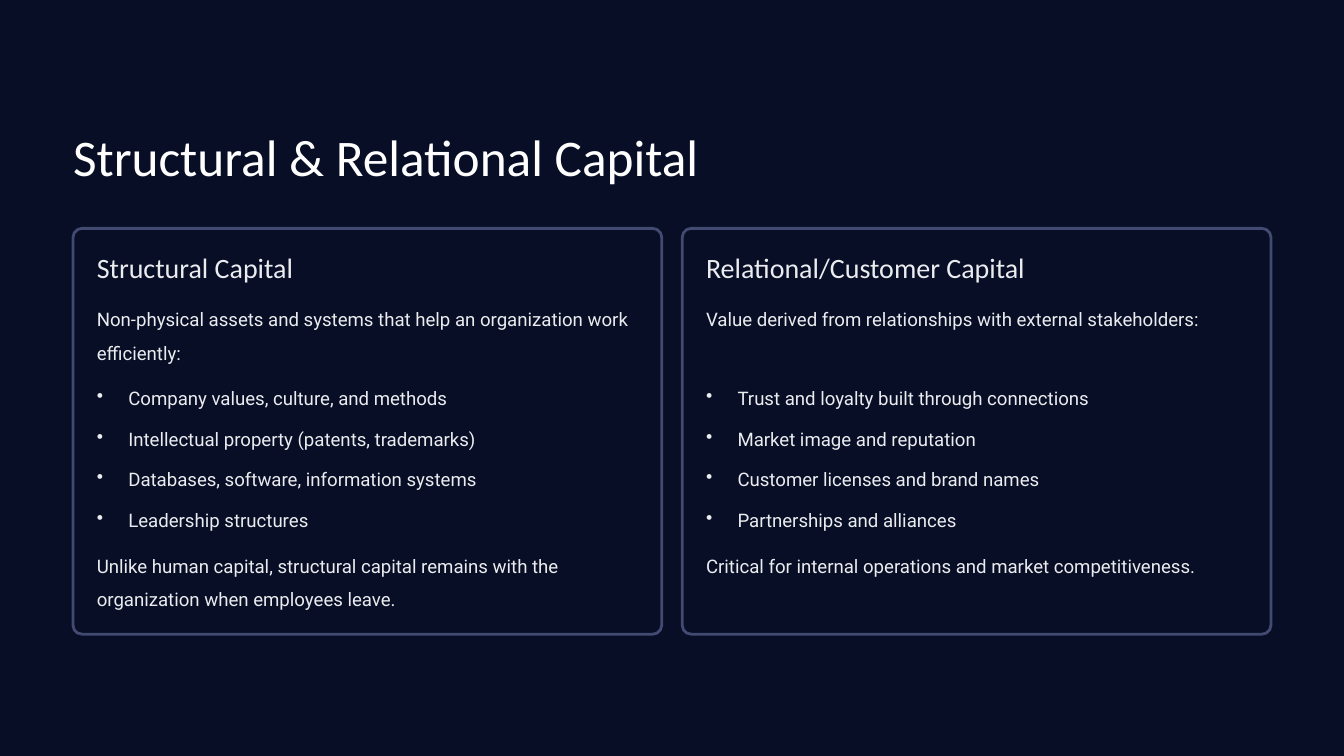
from dataclasses import dataclass

from lxml.etree import SubElement as Sub
from pptx import Presentation
from pptx.dml.color import RGBColor as Rgb
from pptx.enum.shapes import MSO_SHAPE as Shape
from pptx.oxml.ns import qn
from pptx.util import Pt


@dataclass(frozen=True)
class Theme:
    """Hold the colours, fonts and type sizes."""
    back: Rgb = Rgb(0x08, 0x0E, 0x26)
    edge: Rgb = Rgb(0x41, 0x4A, 0x70)
    white: Rgb = Rgb(0xFF, 0xFF, 0xFF)
    pale: Rgb = Rgb(0xEB, 0xEC, 0xEF)
    head: str = "Calibri"
    body: str = "Roboto"
    big: int = 44
    mid: int = 24
    small: int = 16


THEME = Theme()
TITLE = dict(name=THEME.head, size=Pt(THEME.big)), THEME.white, 55.5
HEAD = dict(name=THEME.head, size=Pt(THEME.mid)), THEME.pale, 27.5
BODY = dict(name=THEME.body, size=Pt(THEME.small)), THEME.pale, 28.5

CARDS = [
    ("Structural Capital",
     "Non-physical assets and systems that help an organization work efficiently:",
     ["Company values, culture, and methods",
      "Intellectual property (patents, trademarks)",
      "Databases, software, information systems",
      "Leadership structures"],
     "Unlike human capital, structural capital remains with the organization when employees leave."),
    ("Relational/Customer Capital",
     "Value derived from relationships with external stakeholders:",
     ["Trust and loyalty built through connections",
      "Market image and reputation",
      "Customer licenses and brand names",
      "Partnerships and alliances"],
     "Critical for internal operations and market competitiveness."),
]


def apply(item, values):
    """Set each named attribute on the item."""
    for name, value in values.items():
        setattr(item, name, value)


def bullet(para):
    """Give the paragraph a hanging bullet."""
    props = para._p.get_or_add_pPr()
    props.set("marL", str(Pt(27)))
    props.set("indent", str(Pt(-27)))
    Sub(props, qn("a:buChar"), char="•")


def write(slide, box, lines, style, listed=False):
    """Write the lines as paragraphs in a text box."""
    face, color, lead = style
    frame = slide.shapes.add_textbox(*map(Pt, box)).text_frame
    apply(frame, dict(word_wrap=True, margin_left=0, margin_top=0,
                      margin_right=0, margin_bottom=0))
    for i, line in enumerate(lines):
        para = frame.add_paragraph() if i else frame.paragraphs[0]
        para.text = line
        if listed:
            bullet(para)
        apply(para, dict(line_spacing=Pt(lead), space_before=Pt(6.3 if i else 0)))
        font = para.runs[0].font
        apply(font, face)
        font.color.rgb = color


def card(slide, box, parts):
    """Draw a framed card with heading, intro, list and closing line."""
    left, top, width, height = box
    head, intro, points, close = parts
    frame = slide.shapes.add_shape(Shape.ROUNDED_RECTANGLE, *map(Pt, box))
    frame.adjustments[0] = 0.022
    frame.shadow.inherit = False
    frame.fill.solid()
    frame.fill.fore_color.rgb = THEME.back
    frame.line.color.rgb = THEME.edge
    frame.line.width = Pt(2.4)
    pad = 20.4
    rows = [(20.2, 28, [head], HEAD, False),
            (59, 57, [intro], BODY, False),
            (126.6, 133, points, BODY, True),
            (270.7, 57, [close], BODY, False)]
    for drop, tall, lines, style, listed in rows:
        area = left + pad, top + drop, width - 2 * pad, tall
        write(slide, area, lines, style, listed)


def board(slide, box):
    """Place the title and an even row of cards in the box."""
    left, top, width, height = box
    write(slide, (left, top, width, 56), ["Structural & Relational Capital"], TITLE)
    gap, drop = 17.6, 91.4
    wide = (width - gap * (len(CARDS) - 1)) / len(CARDS)
    for i, parts in enumerate(CARDS):
        card(slide, (left + i * (wide + gap), top + drop, wide, height - drop), parts)


def main():
    """Build and save the slide."""
    deck = Presentation()
    apply(deck, dict(slide_width=Pt(1152), slide_height=Pt(648)))
    slide = deck.slides.add_slide(deck.slide_layouts[6])
    fill = slide.background.fill
    fill.solid()
    fill.fore_color.rgb = THEME.back
    board(slide, (62.6, 104.4, 1026.8, 439.2))
    deck.save("out.pptx")


if __name__ == "__main__":
    main()
